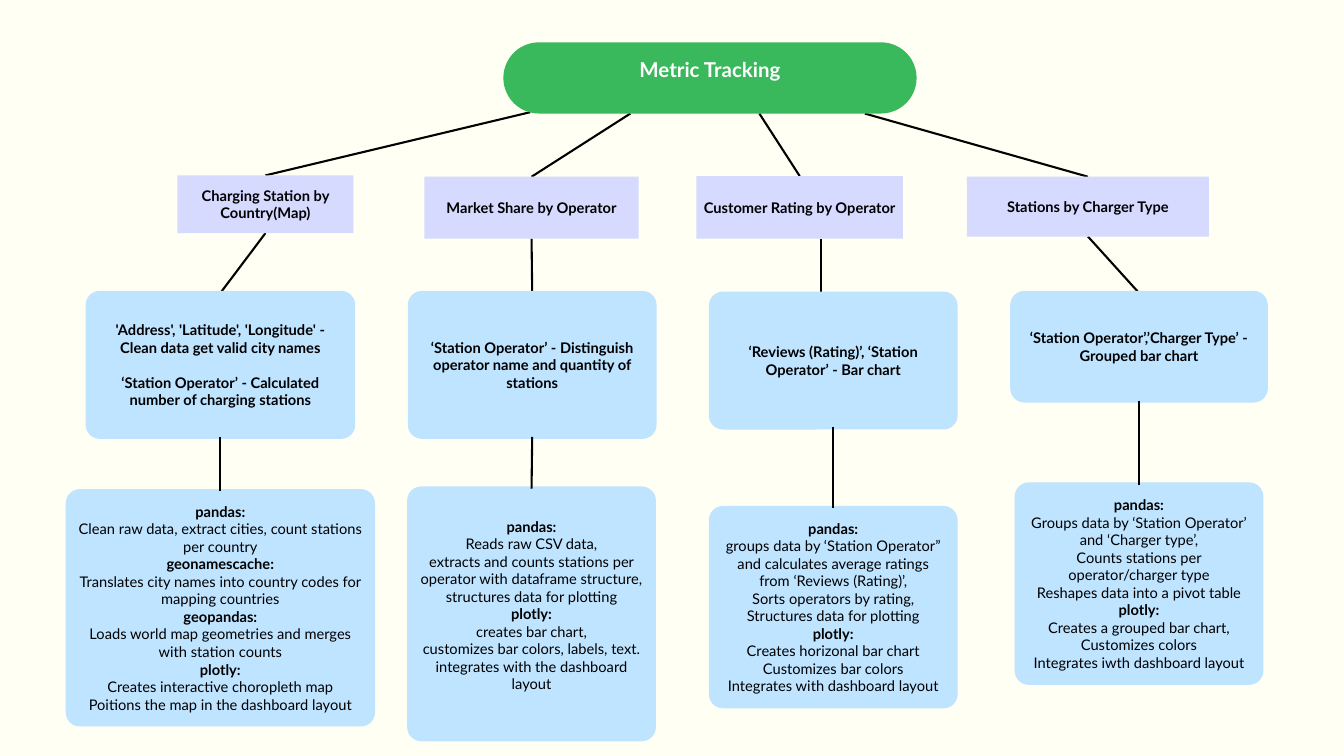
from dataclasses import dataclass

from lxml.etree import SubElement
from pptx import Presentation
from pptx.dml.color import RGBColor
from pptx.enum.shapes import MSO_CONNECTOR, MSO_SHAPE
from pptx.enum.text import MSO_ANCHOR, MSO_AUTO_SIZE, PP_ALIGN
from pptx.oxml.ns import qn
from pptx.util import Inches, Pt

COLUMNS, ROWS = 20, 11.25
WIDTH, HEIGHT = Inches(20), Inches(11.25)
COLORS = {
    "paper": "FFFFF3",
    "banner": "3AB85C",
    "metric": "D7DAFF",
    "card": "BFE4FF",
    "ink": "000000",
    "light": "FFFFFF",
}
FONT = "Lato"
CORNER = 0.18
LINE_HEIGHT = 18.8
BANNER = (7.49, 0.63, 6.15, 1.06)
TITLE = (7.49, 0.31, 6.15, 1.39)


@dataclass
class Row:
    center: float
    top: float
    width: float
    height: float

    @property
    def bottom(self):
        return self.top + self.height

    @property
    def area(self):
        return self.center - self.width / 2, self.top, self.width, self.height


@dataclass
class Branch:
    start: tuple
    drop: tuple
    metric: Row
    metric_name: str
    fields: Row
    field_notes: list
    tools: Row
    tool_notes: list
    bottom_inset: float = 0.1


BRANCHES = [
    Branch(
        (7.89, 1.67), (3.95, 3.28),
        Row(3.95, 2.61, 2.62, 0.86), "Charging Station by Country(Map)",
        Row(3.28, 4.36, 3.95, 2.14),
        ["'Address', 'Latitude', 'Longitude' - Clean data get valid city names",
         "‘Station Operator’ - Calculated number of charging stations"],
        Row(3.28, 7.31, 4.54, 3.47),
        [("pandas:", ["Clean raw data, extract cities, count stations per country"]),
         ("geonamescache:", ["Translates city names into country codes for mapping countries"]),
         ("geopandas:", ["Loads world map geometries and merges with station counts"]),
         ("plotly:", ["Creates interactive choropleth map",
                      "Poitions the map in the dashboard layout"])],
    ),
    Branch(
        (9.38, 1.69), (7.91, 7.92),
        Row(7.91, 2.63, 3.19, 0.92), "Market Share by Operator",
        Row(7.92, 4.36, 3.64, 2.14),
        ["‘Station Operator’ - Distinguish operator name and quantity of stations"],
        Row(7.91, 7.27, 3.64, 3.73),
        [("pandas:", ["Reads raw CSV data,",
                      "extracts and counts stations per operator with dataframe structure,",
                      "structures data for plotting"]),
         ("plotly:", ["creates bar chart,",
                      "customizes bar colors, labels, text.",
                      "integrates with the dashboard layout"])],
        bottom_inset=0.36,
    ),
    Branch(
        (11.3, 1.69), (12.22, 12.22),
        Row(11.9, 2.62, 3.07, 0.93), "Customer Rating by Operator",
        Row(12.4, 4.37, 3.64, 1.99),
        ["‘Reviews (Rating)’, ‘Station Operator’ - Bar chart"],
        Row(12.4, 7.56, 3.64, 2.95),
        [("pandas:", ["groups data by ‘Station Operator” and calculates average ratings "
                      "from ‘Reviews (Rating)’,",
                      "Sorts operators by rating,",
                      "Structures data for plotting"]),
         ("plotly:", ["Creates horizonal bar chart",
                      "Customizes bar colors",
                      "Integrates with dashboard layout"])],
    ),
    Branch(
        (12.87, 1.69), (16.19, 16.95),
        Row(16.19, 2.63, 3.6, 0.89), "Stations by Charger Type",
        Row(16.95, 4.36, 3.77, 1.6),
        ["‘Station Operator’,’Charger Type’ - Grouped bar chart"],
        Row(16.95, 7.21, 3.64, 2.95),
        [("pandas:", ["Groups data by ‘Station Operator’ and ‘Charger type’,",
                      "Counts stations per operator/charger type",
                      "Reshapes data into a pivot table"]),
         ("plotly:", ["Creates a grouped bar chart,",
                      "Customizes colors",
                      "Integrates iwth dashboard layout"])],
    ),
]


def across(columns):
    return round(WIDTH * columns / COLUMNS)


def down(rows):
    return round(HEIGHT * rows / ROWS)


def place(area):
    left, top, width, height = area
    return across(left), down(top), across(width), down(height)


def color(name):
    return RGBColor.from_string(COLORS[name])


def add_panel(slide, preset, area, fill, border=None):
    panel = slide.shapes.add_shape(preset, *place(area))
    panel.shadow.inherit = False
    panel.fill.solid()
    panel.fill.fore_color.rgb = color(fill)
    if border:
        panel.line.color.rgb = color(fill)
        panel.line.width = Pt(border)
    else:
        panel.line.fill.background()
    return panel


def add_card(slide, row):
    card = add_panel(slide, MSO_SHAPE.ROUNDED_RECTANGLE, row.area, "card", 4.5)
    card.adjustments[0] = CORNER / min(row.width, row.height)
    return card


def add_link(slide, start, end):
    link = slide.shapes.add_connector(
        MSO_CONNECTOR.STRAIGHT,
        across(start[0]), down(start[1]), across(end[0]), down(end[1]))
    link.line.color.rgb = color("ink")
    link.line.width = Pt(2.25)
    SubElement(link._element.spPr, qn("a:effectLst"))


def write(shape, lines, size=15.7, ink="ink", leading=LINE_HEIGHT, gap=0,
          inset=0.1, bottom_inset=None):
    frame = shape.text_frame
    frame.word_wrap = True
    frame.auto_size = MSO_AUTO_SIZE.NONE
    frame.vertical_anchor = MSO_ANCHOR.MIDDLE
    frame.margin_left = frame.margin_right = frame.margin_top = Inches(inset)
    frame.margin_bottom = Inches(bottom_inset or inset)
    for index, (words, bold) in enumerate(lines):
        paragraph = frame.add_paragraph() if index else frame.paragraphs[0]
        paragraph.alignment = PP_ALIGN.CENTER
        paragraph.line_spacing = Pt(leading)
        paragraph.space_before = Pt(gap if index else 0)
        run = paragraph.add_run()
        run.text = words
        run.font.name = FONT
        run.font.size = Pt(size)
        run.font.bold = bold
        run.font.color.rgb = color(ink)


def add_title(slide):
    add_panel(slide, MSO_SHAPE.ROUNDED_RECTANGLE, BANNER, "banner").adjustments[0] = 0.5
    title = slide.shapes.title
    title.left, title.top, title.width, title.height = place(TITLE)
    write(title, [("Metric Tracking", True)], 21.9, "light", 30.7, inset=0.03)
    slide.shapes._spTree.append(title._element)


def add_branch(slide, branch):
    metric, fields, tools = branch.metric, branch.fields, branch.tools
    add_link(slide, branch.start, (metric.center, metric.top))
    add_link(slide, (branch.drop[0], metric.bottom), (branch.drop[1], fields.top))
    metric_panel = add_panel(slide, MSO_SHAPE.RECTANGLE, metric.area, "metric")
    write(metric_panel, [(branch.metric_name, True)])
    write(add_card(slide, fields), [(note, True) for note in branch.field_notes],
          gap=LINE_HEIGHT)
    lines = []
    for library, notes in branch.tool_notes:
        lines += [(library, True)] + [(note, False) for note in notes]
    write(add_card(slide, tools), lines, bottom_inset=branch.bottom_inset)
    add_link(slide, (fields.center, fields.bottom), (tools.center, tools.top))


def main():
    deck = Presentation()
    deck.slide_width, deck.slide_height = WIDTH, HEIGHT
    slide = deck.slides.add_slide(deck.slide_layouts[5])
    slide.background.fill.solid()
    slide.background.fill.fore_color.rgb = color("paper")
    for branch in BRANCHES:
        add_branch(slide, branch)
    add_title(slide)
    deck.save("out.pptx")


if __name__ == "__main__":
    main()
